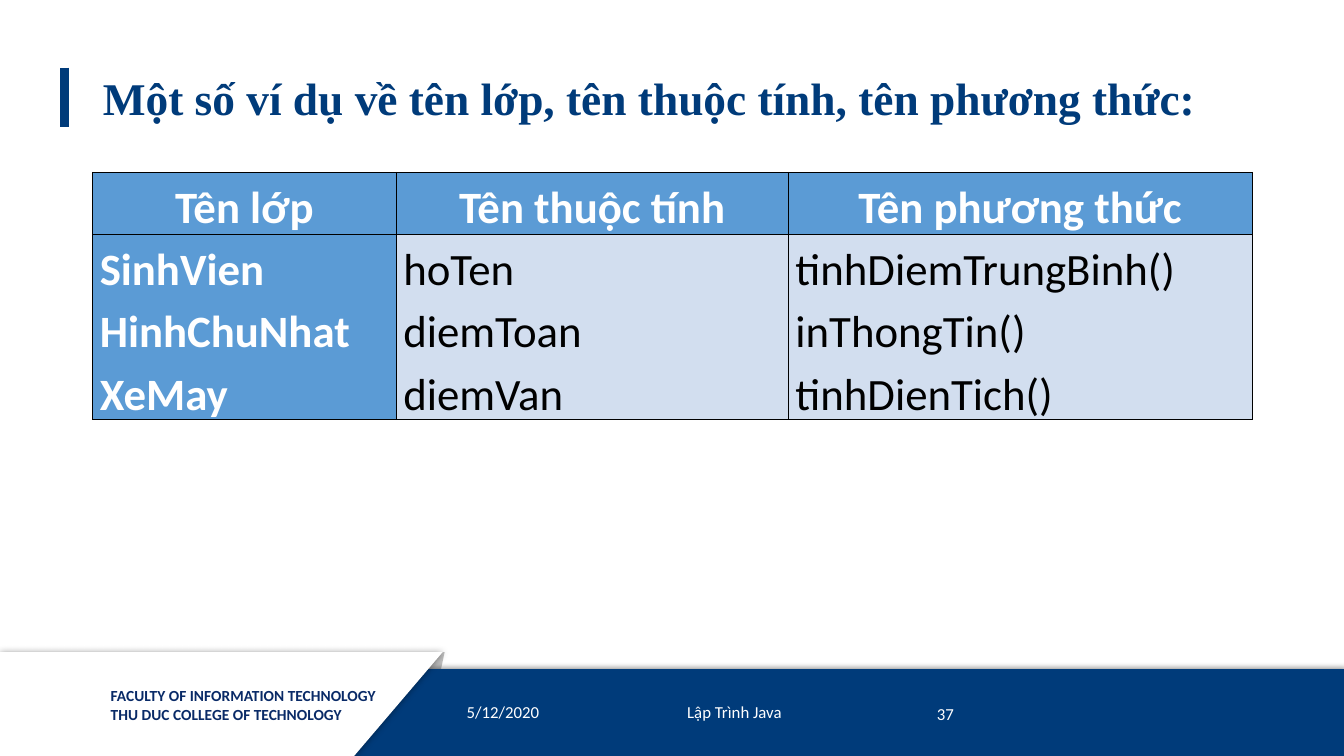
from lxml.etree import SubElement
from pptx import Presentation
from pptx.dml.color import RGBColor
from pptx.enum.shapes import MSO_CONNECTOR, MSO_SHAPE
from pptx.enum.text import MSO_ANCHOR, MSO_AUTO_SIZE, PP_ALIGN
from pptx.oxml import parse_xml
from pptx.oxml.ns import nsdecls, qn
from pptx.util import Inches, Pt

NAVY, WHITE, BLACK = "003B7A", "FFFFFF", "000000"
HEADER_BLUE, PALE_BLUE = "5B9BD5", "D2DEEF"
HEADINGS = ["Tên lớp", "Tên thuộc tính", "Tên phương thức"]
EXAMPLES = [
    ["SinhVien", "HinhChuNhat", "XeMay"],
    ["hoTen", "diemToan", "diemVan"],
    ["tinhDiemTrungBinh()", "inThongTin()", "tinhDienTich()"],
]
COLUMN_WIDTHS = [3.01, 3.89, 4.6]


def rgb(code):
    return RGBColor.from_string(code)


def style(paragraph, size, color, bold=False, align=PP_ALIGN.LEFT, font="Calibri"):
    paragraph.alignment = align
    paragraph.font.name = font
    paragraph.font.size = Pt(size)
    paragraph.font.bold = bold
    paragraph.font.color.rgb = rgb(color)


def add_panel(slide, preset, box, fill, line=None):
    panel = slide.shapes.add_shape(preset, *map(Inches, box))
    panel.shadow.inherit = False
    panel.fill.solid()
    panel.fill.fore_color.rgb = rgb(fill)
    if line:
        panel.line.color.rgb = rgb(line)
        panel.line.width = Pt(1)
    else:
        panel.line.fill.background()
    return panel


def add_slanted_panel(slide, box, fill):
    panel = add_panel(slide, MSO_SHAPE.FLOWCHART_MANUAL_INPUT, box, fill)
    panel.rotation = 270
    panel._element.spPr.find(qn("a:xfrm")).set("flipV", "1")
    return panel


def add_shadow(panel, blur, distance, direction):
    effects = panel._element.spPr.find(qn("a:effectLst"))
    effects.append(parse_xml(
        f'<a:outerShdw {nsdecls("a")} blurRad="{Pt(blur)}" dist="{Pt(distance)}" '
        f'dir="{direction * 60000}" algn="ctr" rotWithShape="0">'
        '<a:srgbClr val="000000"><a:alpha val="40000"/></a:srgbClr></a:outerShdw>'))


def add_label(slide, box, lines, size, color, bold=False,
              align=PP_ALIGN.LEFT, anchor=MSO_ANCHOR.MIDDLE):
    frame = slide.shapes.add_textbox(*map(Inches, box)).text_frame
    frame.word_wrap = True
    frame.vertical_anchor = anchor
    frame.text = "\n".join(lines)
    for paragraph in frame.paragraphs:
        style(paragraph, size, color, bold, align)


def add_footer(slide):
    add_slanted_panel(slide, (3.35, 6.44, 1.03, 1.09), "BFBFBF")
    band = add_panel(slide, MSO_SHAPE.RECTANGLE, (-0.01, 6.64, 13.34, 0.86), NAVY, NAVY)
    add_shadow(band, 4, 2, 270)
    flap = add_slanted_panel(slide, (1.68, 4.79, 1.03, 4.39), WHITE)
    add_shadow(flap, 5, 0, 0)
    add_panel(slide, MSO_SHAPE.RECTANGLE, (1.1, 6.77, 2.15, 0.5), WHITE)
    add_label(slide, (1, 6.76, 3.06, 0.47),
              ["FACULTY OF INFORMATION TECHNOLOGY", "THU DUC COLLEGE OF TECHNOLOGY"],
              11, "092A67", bold=True, anchor=MSO_ANCHOR.TOP)
    add_label(slide, (4.53, 6.86, 1.26, 0.4), ["5/12/2020"], 12, WHITE)
    add_label(slide, (5.97, 6.86, 2.63, 0.4), ["Lập Trình Java"], 12, WHITE,
              align=PP_ALIGN.CENTER)
    add_label(slide, (8.8, 6.88, 0.76, 0.4), ["37"], 12, WHITE, align=PP_ALIGN.RIGHT)


def add_title(slide):
    accent = slide.shapes.add_connector(
        MSO_CONNECTOR.STRAIGHT, Inches(0.64), Inches(0.67), Inches(0.64), Inches(1.26))
    accent.line.color.rgb = rgb(NAVY)
    accent.line.width = Pt(6)
    SubElement(accent._element.spPr, qn("a:effectLst"))

    title = slide.shapes.title
    title.left, title.top = Inches(0.92), Inches(0.42)
    title.width, title.height = Inches(11.5), Inches(1.16)
    frame = title.text_frame
    frame.text = "Một số ví dụ về tên lớp, tên thuộc tính, tên phương thức:"
    frame.auto_size = MSO_AUTO_SIZE.NONE
    frame.vertical_anchor = MSO_ANCHOR.MIDDLE
    heading = frame.paragraphs[0]
    heading.line_spacing = 0.9
    style(heading, 32.4, NAVY, bold=True, font="Times New Roman")


def add_borders(cell):
    properties = cell._tc.get_or_add_tcPr()
    for position, side in enumerate(("lnL", "lnR", "lnT", "lnB")):
        properties.insert(position, parse_xml(
            f'<a:{side} {nsdecls("a")} w="{Pt(1)}"><a:solidFill>'
            f'<a:srgbClr val="{BLACK}"/></a:solidFill></a:{side}>'))


def fill_cell(cell, lines, fill, color, bold, align):
    cell.margin_left = cell.margin_right = Inches(0.07)
    cell.margin_top = cell.margin_bottom = 0
    cell.fill.solid()
    cell.fill.fore_color.rgb = rgb(fill)
    add_borders(cell)
    cell.text = "\n".join(lines)
    for paragraph in cell.text_frame.paragraphs:
        paragraph.line_spacing = 1.15
        style(paragraph, 32, color, bold, align)


def add_naming_table(slide):
    naming = slide.shapes.add_table(
        2, 3, Inches(0.92), Inches(1.71), Inches(11.5), Inches(2.45)).table
    naming.first_row = naming.horz_banding = False
    naming.rows[0].height = Inches(0.61)
    naming.rows[1].height = Inches(1.84)
    for column, (heading, names) in enumerate(zip(HEADINGS, EXAMPLES)):
        naming.columns[column].width = Inches(COLUMN_WIDTHS[column])
        fill_cell(naming.cell(0, column), [heading], HEADER_BLUE, WHITE, True,
                  PP_ALIGN.CENTER)
        is_class = column == 0
        fill_cell(naming.cell(1, column), names,
                  HEADER_BLUE if is_class else PALE_BLUE,
                  WHITE if is_class else BLACK, is_class, PP_ALIGN.LEFT)


def main():
    deck = Presentation()
    deck.slide_width, deck.slide_height = Inches(13.33), Inches(7.5)
    slide = deck.slides.add_slide(deck.slide_layouts[5])
    add_footer(slide)
    add_title(slide)
    add_naming_table(slide)
    deck.save("out.pptx")


if __name__ == "__main__":
    main()
